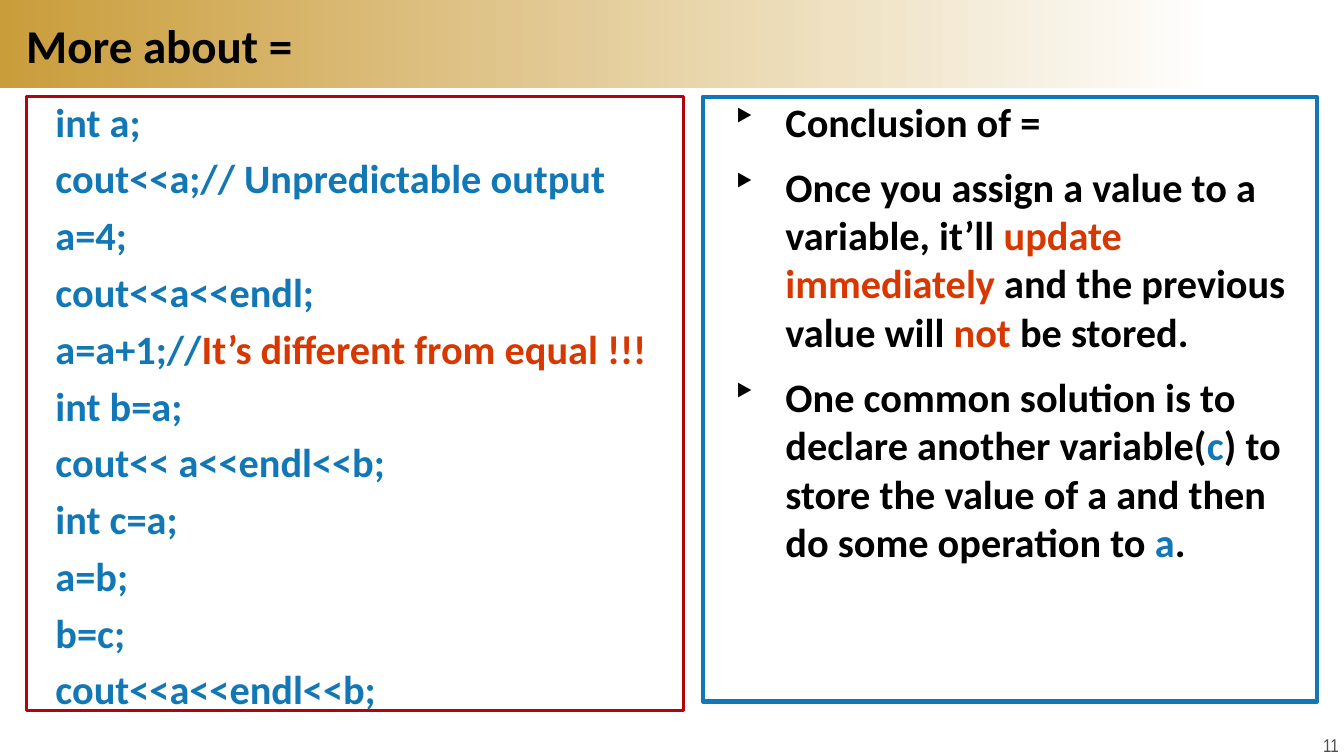
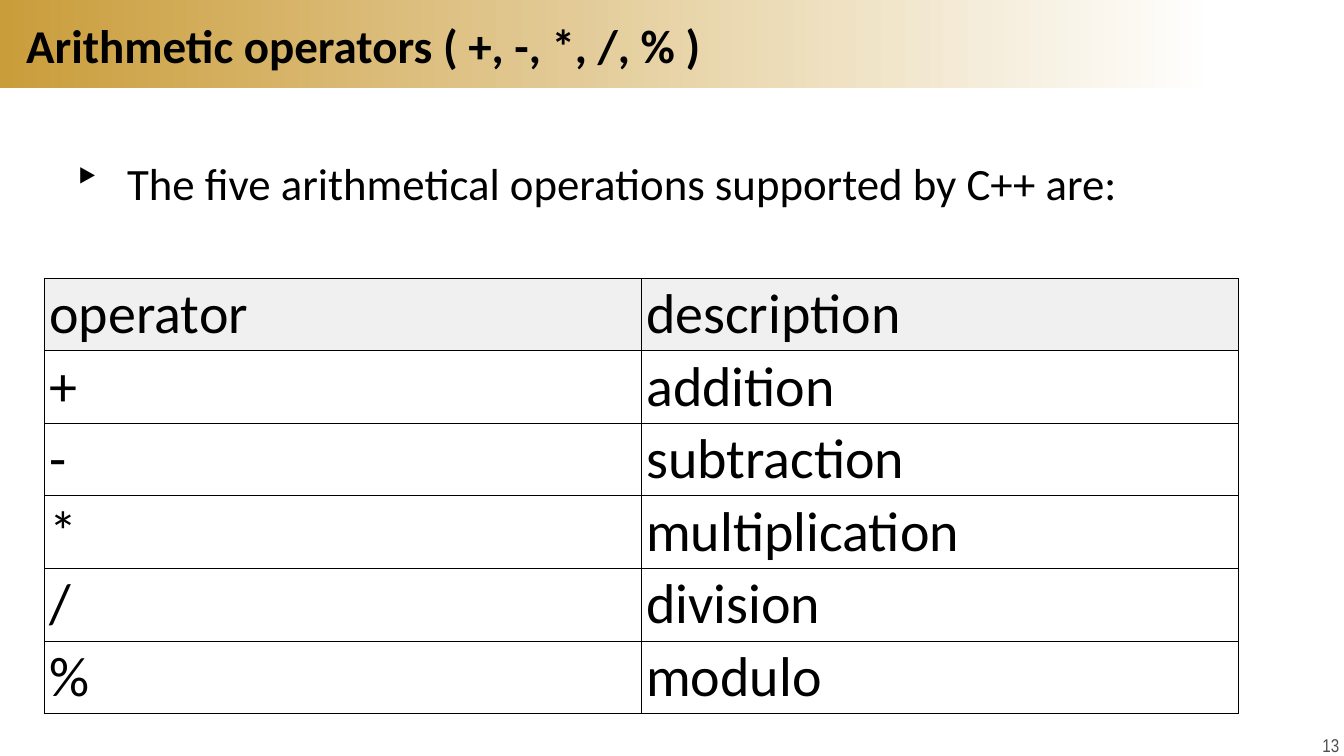
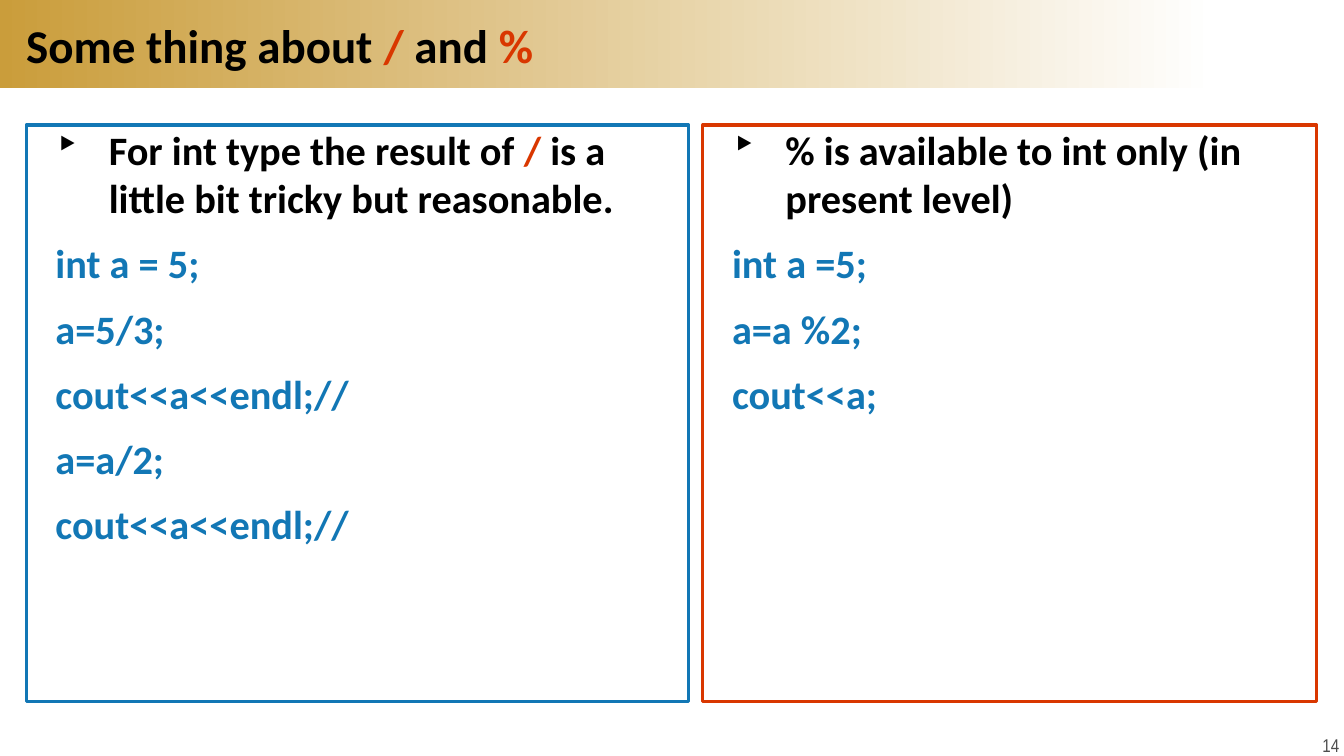
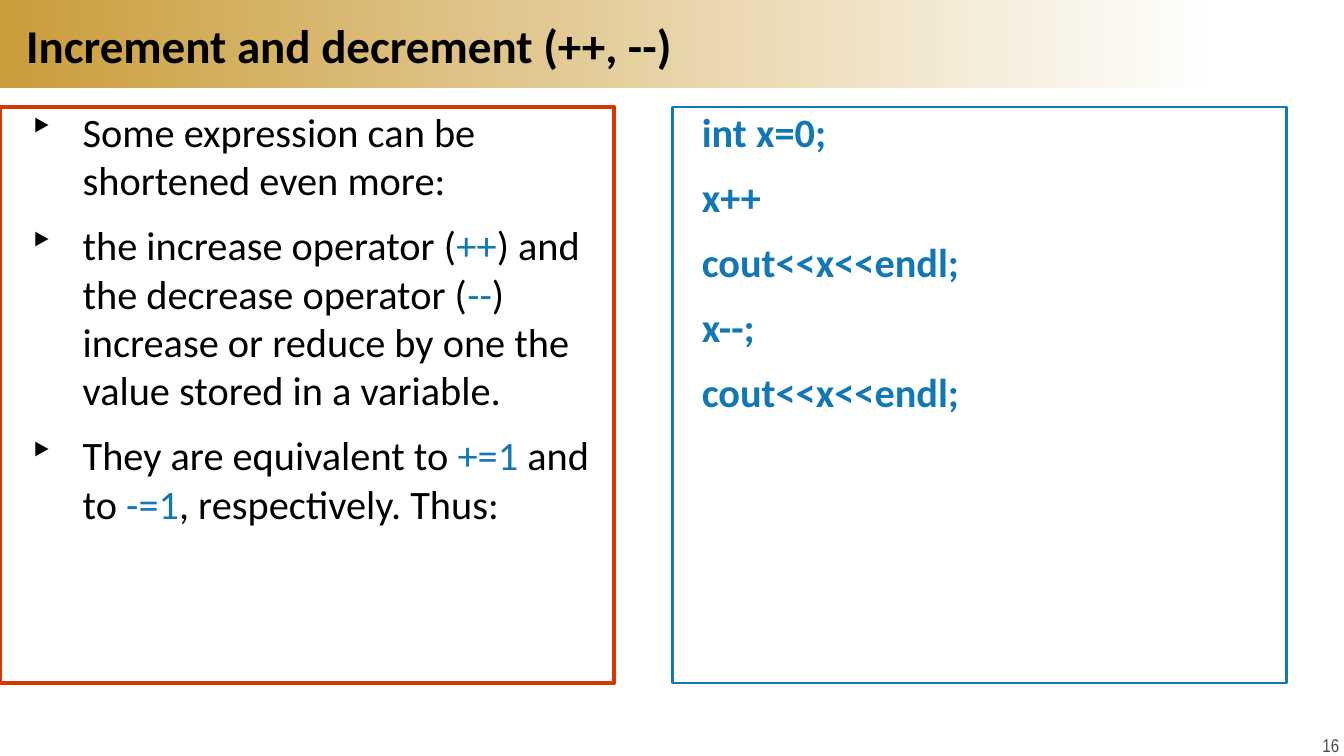
from dataclasses import dataclass

from pptx import Presentation
from pptx import util as u
from pptx.dml.color import RGBColor
from pptx.enum import shapes, text
from pptx.oxml.ns import qn
from lxml import etree

PX = 9144  # EMU per px, 100 px to the inch


@dataclass(frozen=True)
class Theme:
    black: str = "000000"
    white: str = "FFFFFF"
    gold: str = "CA9D3B"
    blue: str = "1277B5"
    orange: str = "D93700"
    red: str = "B2040A"
    header: str = "F0F0F0"
    grey: str = "4D4D4D"
    font: str = "Calibri"
    number_font: str = "Arial Narrow"
    title_size: float = 33.6
    body_size: float = 28.8
    lead_size: float = 32
    table_size: float = 40
    number_size: float = 13.2
    table_border: float = 0.6


T = Theme()
WIDTH, HEIGHT = 1333, 750


def px(*lengths):
    return [u.Emu(n * PX) for n in lengths]


def rgb(color):
    return RGBColor.from_string(color)


def child(parent, tag, **attrs):
    return etree.SubElement(parent, qn(tag), attrs)


def write(p, content, size=T.body_size, color=T.black, bold=False, font=T.font):
    """Fill a paragraph from a string or a list of strings and (string, colour) pairs."""
    for part in [content] if isinstance(content, str) else content:
        words, tint = (part, color) if isinstance(part, str) else part
        r = p.add_run()
        r.text = words
        r.font.name, r.font.size, r.font.bold = font, u.Pt(size), bold
        r.font.color.rgb = rgb(tint)


def set_frame(tf, anchor=text.MSO_ANCHOR.TOP, wrap=True):
    tf.margin_left = tf.margin_right = tf.margin_top = tf.margin_bottom = 0
    tf.vertical_anchor, tf.word_wrap = anchor, wrap


def add_box(slide, box, border=None, weight=0):
    sp = slide.shapes.add_shape(shapes.MSO_SHAPE.RECTANGLE, *px(*box))
    sp.shadow.inherit = False
    sp.fill.background()
    if border:
        sp.line.color.rgb, sp.line.width = rgb(border), u.Pt(weight)
    else:
        sp.line.fill.background()
    return sp


def bullet(content):
    return True, content


def code(*lines):
    return [(False, line) for line in lines]


def add_body(tf, items, gap=12, bold=True, size=T.body_size):
    """Write items made by bullet() and code(); code lines are blue and bold."""
    set_frame(tf)
    for i, (bulleted, content) in enumerate(items):
        p = tf.paragraphs[0] if i == 0 else tf.add_paragraph()
        p.alignment = text.PP_ALIGN.LEFT
        p.space_after = u.Pt(gap)
        pPr = p._p.get_or_add_pPr()
        margin, indent = (82, -53) if bulleted else (29, 0)
        pPr.set("marL", str(margin * PX))
        pPr.set("indent", str(indent * PX))
        if bulleted:
            child(pPr, "a:buChar", char="‣")
        write(p, content, size=size, bold=bold or not bulleted,
              color=T.black if bulleted else T.blue)


def add_panel(slide, box, border, weight, items, **style):
    sp = add_box(slide, box, border, weight)
    add_body(sp.text_frame, items, **style)


def add_table(slide, box, rows):
    x, y, w, h = box
    table = slide.shapes.add_table(len(rows), len(rows[0]), *px(x, y, w, h)).table
    table.first_row = table.horz_banding = False
    for i, row in enumerate(rows):
        for j, words in enumerate(row):
            cell = table.cell(i, j)
            cell.margin_left, cell.margin_right = px(5, 5)
            cell.margin_top, cell.margin_bottom = px(2, 2)
            cell.vertical_anchor = text.MSO_ANCHOR.MIDDLE
            write(cell.text_frame.paragraphs[0], words, size=T.table_size)
            tcPr = cell._tc.get_or_add_tcPr()
            for side in ("a:lnL", "a:lnR", "a:lnT", "a:lnB"):
                ln = child(tcPr, side, w=str(int(u.Pt(T.table_border))))
                child(child(ln, "a:solidFill"), "a:srgbClr", val=T.black)
            cell.fill.solid()
            cell.fill.fore_color.rgb = rgb(T.white if i else T.header)


def add_title_band(slide, box, title):
    x, y, w, h = box
    band = add_box(slide, box)
    band.fill.gradient()
    band.fill.gradient_angle = 0
    for stop, color, position in zip(band.fill.gradient_stops, (T.gold, T.white), (0, 1)):
        stop.color.rgb, stop.position = rgb(color), position
    tf = slide.shapes.add_textbox(*px(x + 26, y + 10, 1281, h - 19)).text_frame
    set_frame(tf, anchor=text.MSO_ANCHOR.MIDDLE)
    write(tf.paragraphs[0], title, size=T.title_size, bold=True)


def add_page_number(slide, box, number):
    tf = slide.shapes.add_textbox(*px(*box)).text_frame
    set_frame(tf, wrap=False)
    tf.margin_left, tf.margin_right, tf.margin_top, tf.margin_bottom = px(7, 7, 4, 4)
    p = tf.paragraphs[0]
    p.alignment = text.PP_ALIGN.CENTER
    write(p, str(number), size=T.number_size, color=T.grey, font=T.number_font)


def new_slide(prs, title, number):
    slide = prs.slides.add_slide(prs.slide_layouts[6])
    add_title_band(slide, (0, 0, 1206, 87), title)
    add_page_number(slide, (1304, 724, 32, 26), number)
    return slide


def assignment_slide(prs):
    slide = new_slide(prs, "More about =", 11)
    add_panel(slide, (26, 96, 652, 609), T.red, 2.25, code(
        "int a;",
        "cout<<a;// Unpredictable output",
        "a=4;",
        "cout<<a<<endl;",
        ["a=a+1;//", ("It’s different from equal !!!", T.orange)],
        "int b=a;",
        "cout<< a<<endl<<b;",
        "int c=a;",
        "a=b;",
        "b=c;",
        "cout<<a<<endl<<b;",
    ), gap=6)
    add_panel(slide, (697, 96, 609, 600), T.blue, 3, [
        bullet("Conclusion of ="),
        bullet(["Once you assign a value to a variable, it’ll ",
                ("update immediately", T.orange), " and the previous value will ",
                ("not", T.orange), " be stored."]),
        bullet(["One common solution is to declare another variable(", ("c", T.blue),
                ") to store the value of a and then do some operation to ",
                ("a", T.blue), "."]),
    ])


def operators_slide(prs):
    slide = new_slide(prs, "Arithmetic operators ( +, -, *, /, % )", 13)
    add_table(slide, (44, 276, 1184, 432), [
        ("operator", "description"),
        ("+", "addition"),
        ("-", "subtraction"),
        ("*", "multiplication"),
        ("/", "division"),
        ("%", "modulo"),
    ])
    lead = slide.shapes.add_textbox(*px(44, 154, 1185, 113))
    add_body(lead.text_frame,
             [bullet("The five arithmetical operations supported by C++ are:")],
             bold=False, size=T.lead_size)


def division_slide(prs):
    slide = new_slide(prs, ["Some thing about ", ("/", T.orange), " and ",
                            ("%", T.orange)], 14)
    add_panel(slide, (26, 124, 657, 572), T.blue, 2.25, [
        bullet(["For int type the result of ", ("/", T.orange),
                " is a little bit tricky but reasonable."]),
        *code("int a = 5;", "a=5/3;", "cout<<a<<endl;//", "a=a/2;", "cout<<a<<endl;//"),
    ])
    add_panel(slide, (697, 124, 609, 572), T.orange, 2.25, [
        bullet("% is available to int only (in present level)"),
        *code("int a =5;", "a=a %2;", "cout<<a;"),
    ])


def increment_slide(prs):
    slide = new_slide(prs, "Increment and decrement (++, --)", 16)
    add_panel(slide, (667, 106, 609, 572), T.blue, 1.5, code(
        "int x=0;", "x++", "cout<<x<<endl;", "x--;", "cout<<x<<endl;"))
    add_panel(slide, (0, 106, 609, 572), T.orange, 3, [
        bullet("Some expression can be shortened even more:"),
        bullet(["the increase operator (", ("++", T.blue),
                ") and the decrease operator (", ("--", T.blue),
                ") increase or reduce by one the value stored in a variable."]),
        bullet(["They are equivalent to ", ("+=1", T.blue), " and to ",
                ("-=1", T.blue), ", respectively. Thus:"]),
    ], bold=False)


def main():
    prs = Presentation()
    prs.slide_width, prs.slide_height = px(WIDTH, HEIGHT)
    for build in (assignment_slide, operators_slide, division_slide, increment_slide):
        build(prs)
    prs.save("out.pptx")


if __name__ == "__main__":
    main()
